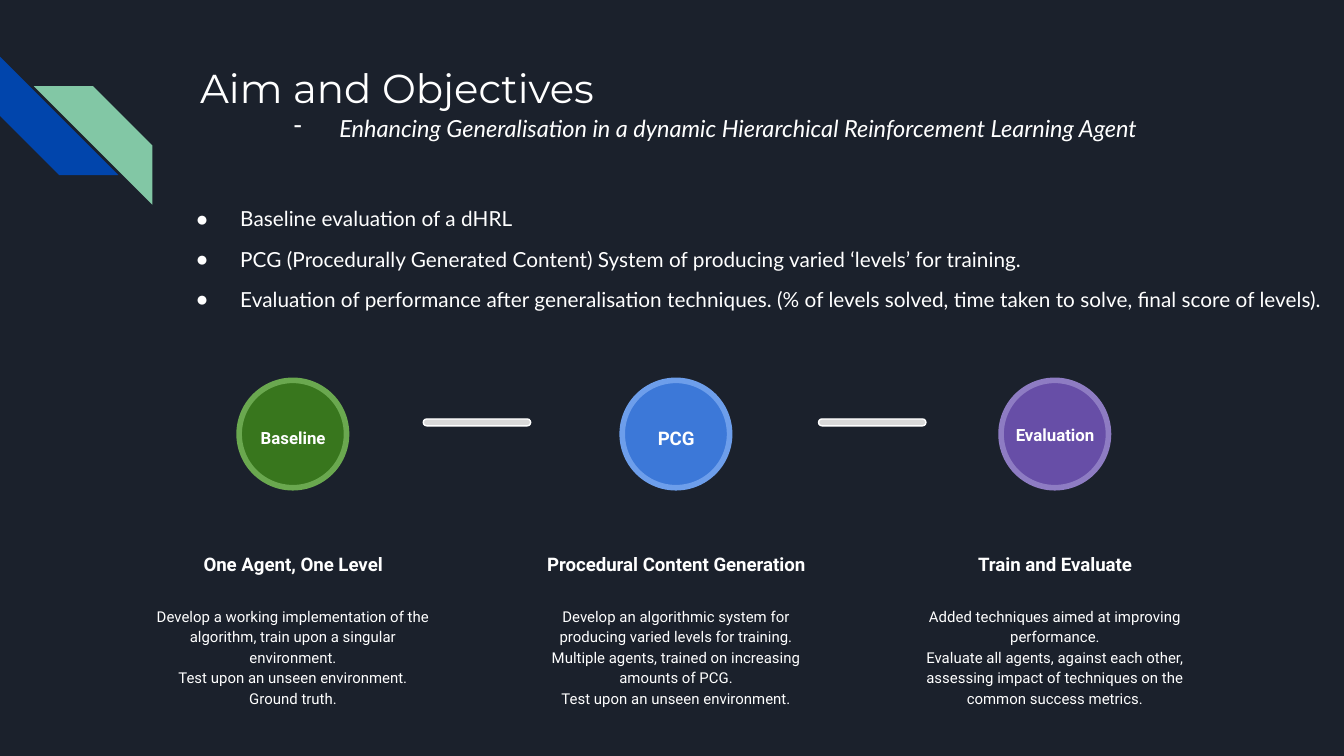
from dataclasses import dataclass

from lxml import etree
from pptx import Presentation
from pptx import util as u
from pptx.dml.color import RGBColor
from pptx.enum import shapes, text
from pptx.oxml.ns import qn

LEFT, CENTER = text.PP_ALIGN.LEFT, text.PP_ALIGN.CENTER
TOP, BOTTOM = text.MSO_ANCHOR.TOP, text.MSO_ANCHOR.BOTTOM
SHAPE = shapes.MSO_SHAPE


@dataclass(frozen=True)
class Theme:
    background: str = "1B212C"
    ink: str = "FFFFFF"
    blue: str = "0145AC"
    mint: str = "82C7A5"
    bar: str = "D9D9D9"
    title_font: str = "Montserrat"
    list_font: str = "Lato"
    stage_font: str = "Roboto"
    title_size: float = 21.6
    subtitle_size: float = 12.6
    list_size: float = 11.1
    heading_size: float = 10
    detail_size: float = 8


@dataclass(frozen=True)
class Stage:
    center: float
    fill: str
    line: str
    label: str
    label_size: float
    label_box: tuple  # top, width, height
    heading: str
    detail: tuple
    detail_width: float = 5.87


class SlideBuilder:
    def __init__(self, page, theme):
        self.page = page
        self.theme = theme
        page.background.fill.solid()
        page.background.fill.fore_color.rgb = RGBColor.from_string(theme.background)

    def place(self, box, left, top, width, height):
        box.left, box.top, box.width, box.height = map(u.Cm, (left, top, width, height))

    def frame(self, box, anchor=TOP):
        frame = box.text_frame
        frame.word_wrap = True
        frame.auto_size = text.MSO_AUTO_SIZE.NONE
        frame.vertical_anchor = anchor
        frame.margin_left = frame.margin_right = u.Cm(0.25)
        frame.margin_top = frame.margin_bottom = u.Cm(0.25)
        return frame

    def add_lines(self, para, lines, font, size, align=CENTER, spacing=1.0, after=0,
                  bold=False, italic=False):
        """Fill a paragraph with one run per line, parted by line breaks."""
        para.alignment, para.line_spacing = align, spacing
        para.space_before, para.space_after = u.Pt(0), u.Pt(after)
        for number, line in enumerate(lines):
            if number:
                para.add_line_break()
            span = para.add_run()
            span.text = line
            span.font.name, span.font.size = font, u.Pt(size)
            span.font.bold, span.font.italic = bold, italic
            span.font.color.rgb = RGBColor.from_string(self.theme.ink)

    def bullet(self, para, mark, hang):
        props = para._p.get_or_add_pPr()
        props.set("marL", str(u.Cm(1.27)))
        props.set("indent", str(-u.Cm(hang)))
        color = etree.SubElement(props, qn("a:buClr"))
        etree.SubElement(color, qn("a:srgbClr"), val=self.theme.ink)
        etree.SubElement(props, qn("a:buChar"), char=mark)

    def title(self, heading, subtitle):
        box = self.page.shapes.title
        self.place(box, 3.53, 0.94, 19.56, 2.54)
        frame = self.frame(box)
        self.add_lines(frame.paragraphs[0], [heading], self.theme.title_font,
                       self.theme.title_size, LEFT)
        para = frame.add_paragraph()
        self.add_lines(para, [subtitle], self.theme.list_font, self.theme.subtitle_size,
                       spacing=1.08, after=8, italic=True)
        self.bullet(para, "-", 0.86)

    def objective(self, box, top, height, line):
        self.place(box, 3.02, top, 22.63, height)
        para = self.frame(box).paragraphs[0]
        self.add_lines(para, [line], self.theme.list_font, self.theme.list_size,
                       LEFT, spacing=0.95)
        self.bullet(para, "●", 0.84)

    def shape(self, parent, kind, left, top, width, height, fill, line=None, weight=0):
        shape = parent.shapes.add_shape(kind, *map(u.Cm, (left, top, width, height)))
        shape.shadow.inherit = False
        shape.fill.solid()
        shape.fill.fore_color.rgb = RGBColor.from_string(fill)
        if line:
            shape.line.color.rgb = RGBColor.from_string(line)
            shape.line.width = u.Pt(weight)
        else:
            shape.line.fill.background()
        return shape

    def corner_stripes(self):
        group = self.page.shapes.add_group_shape()
        lower = self.shape(group, SHAPE.DIAGONAL_STRIPE, 0, 1.07, 2.24, 2.24, self.theme.blue)
        lower.rotation = 270
        upper = self.shape(group, SHAPE.DIAGONAL_STRIPE, 0.64, 1.63, 2.24, 2.24, self.theme.mint)
        upper._element.spPr.find(qn("a:xfrm")).set("flipH", "1")

    def link_bar(self, left):
        bar = self.shape(self.page, SHAPE.ROUNDED_RECTANGLE, left, 7.92, 2.03, 0.13,
                         self.theme.bar, self.theme.ink, 0.75)
        bar.adjustments[0] = 0.5

    def caption(self, parent, center, top, width, height, lines, size, anchor=TOP,
                after=16, bold=True):
        box = parent.shapes.add_textbox(
            *map(u.Cm, (center - width / 2, top, width, height)))
        self.add_lines(self.frame(box, anchor).paragraphs[0], lines, self.theme.stage_font,
                       size, spacing=1.15, after=after, bold=bold)

    def stage(self, stage):
        group = self.page.shapes.add_group_shape()
        self.shape(group, SHAPE.OVAL, stage.center - 1.02, 7.19, 2.03, 2.03,
                   stage.fill, stage.line, 3)
        self.caption(group, stage.center, *stage.label_box, [stage.label], stage.label_size)
        self.caption(group, stage.center, 9.6, 5.87, 1.52, [stage.heading],
                     self.theme.heading_size, BOTTOM, after=0)
        self.caption(group, stage.center, 11.18, stage.detail_width, 2.54, stage.detail,
                     self.theme.detail_size, bold=False)


OBJECTIVES = [
    (1.04, "Baseline evaluation of a dHRL"),
    (1.27, "PCG (Procedurally Generated Content) System of producing varied ‘levels’ "
           "for training."),
    (1.04, "Evaluation of performance after generalisation techniques. (% of levels solved, "
           "time taken to solve, final score of levels)."),
]
STAGES = [
    Stage(5.54, "38761D", "6AA84F", "Baseline", 9, (7.77, 1.78, 0.89),
          "One Agent, One Level",
          ("Develop a working implementation of the algorithm, train upon a singular "
           "environment.",
           "Test upon an unseen environment.",
           "Ground truth."), 6.02),
    Stage(12.78, "3C78D8", "6D9EEB", "PCG", 10, (7.75, 1.5, 1.09),
          "Procedural Content Generation",
          ("Develop an algorithmic system for producing varied levels for training.",
           "Multiple agents, trained on increasing amounts of PCG.",
           "Test upon an unseen environment.")),
    Stage(19.94, "674EA7", "8E7CC3", "Evaluation", 9, (7.72, 2.04, 0.99),
          "Train and Evaluate",
          ("Added techniques aimed at improving performance.",
           "Evaluate all agents, against each other, assessing impact of techniques on the "
           "common success metrics.")),
]


def main():
    deck = Presentation()
    deck.slide_width, deck.slide_height = u.Cm(25.4), u.Cm(14.29)
    page = deck.slides.add_slide(deck.slide_layouts.get_by_name("Comparison"))
    builder = SlideBuilder(page, Theme())
    builder.corner_stripes()
    builder.title("Aim and Objectives",
                  "Enhancing Generalisation in a dynamic Hierarchical Reinforcement "
                  "Learning Agent")
    _, *bodies, spare = page.placeholders
    spare._element.getparent().remove(spare._element)
    for row, (box, (height, line)) in enumerate(zip(bodies, OBJECTIVES)):
        builder.objective(box, 3.68 + 0.76 * row, height, line)
    for stage in STAGES:
        builder.stage(stage)
    for left in (8, 15.47):
        builder.link_bar(left)
    deck.save("out.pptx")


if __name__ == "__main__":
    main()
